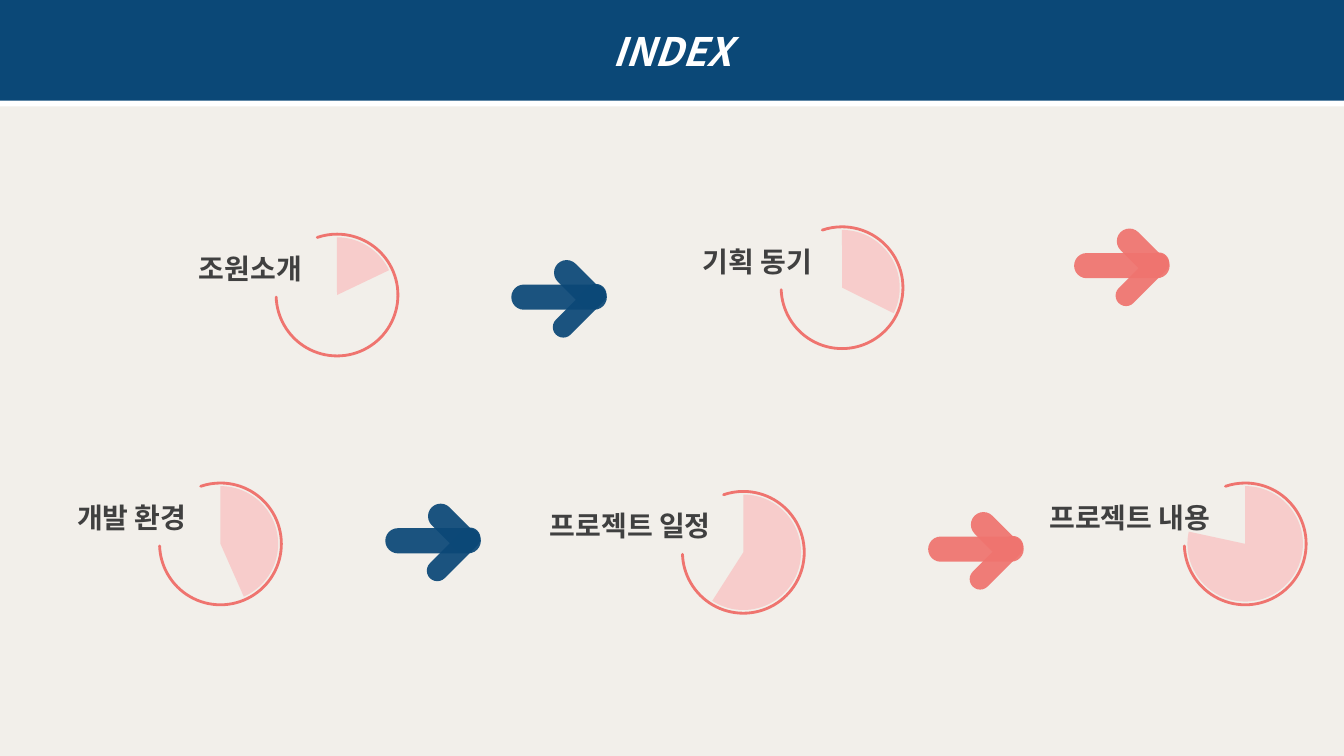
import lxml.etree
import pptx
import pptx.dml.color
import pptx.enum.shapes
import pptx.enum.text
import pptx.oxml.ns
import pptx.util

RGBColor = pptx.dml.color.RGBColor
Shape = pptx.enum.shapes.MSO_SHAPE

NAVY = RGBColor(0x0B, 0x48, 0x77)
CORAL = RGBColor(0xEF, 0x74, 0x6F)
PINK = RGBColor(0xFB, 0xB9, 0xB9)
CREAM = RGBColor(0xF2, 0xEF, 0xEA)
CHARCOAL = RGBColor(0x40, 0x40, 0x40)
WHITE = RGBColor(0xFF, 0xFF, 0xFF)

EMU_PER_PX = 9525
WIDTH, HEIGHT = 1280, 720
HEADER_HEIGHT = 96

ARROW_PILLS = [
    (0, 0, 91, 24, 0),
    (36, -12, 56, 24, 45),
    (33, 15, 64, 20, 135),
]
ARROWS = [
    (1023, 241, CORAL),
    (487, 271, NAVY),
    (367, 503, NAVY),
    (884, 511, CORAL),
]
TOPICS = [
    ("조원소개", 180, 128, 263, 223, 200.71),
    ("개발 환경", 64, 156, 152, 460, 39.68),
    ("기획 동기", 660, 152, 744, 216, 15.78),
    ("프로젝트 일정", 514, 198, 650, 468, 73.53),
    ("프로젝트 내용", 990, 192, 1128, 460, 115.34),
]


def px(*lengths):
    return [pptx.util.Emu(length * EMU_PER_PX) for length in lengths]


def add_xml(parent, tag, **attributes):
    element = lxml.etree.SubElement(parent, pptx.oxml.ns.qn(tag))
    for name, value in attributes.items():
        element.set(name, str(value))
    return element


class IndexSlide:
    font = "Noto Sans CJK KR"

    def __init__(self, deck):
        self.page = deck.slides.add_slide(deck.slide_layouts[6])
        self.page.background.fill.solid()
        self.page.background.fill.fore_color.rgb = CREAM

    def shape(self, shapes, kind, bounds, fill=None, opacity=100, adjustments=()):
        shape = shapes.add_shape(kind, *px(*bounds))
        shape.shadow.inherit = False
        shape.line.fill.background()
        for index, value in enumerate(adjustments):
            shape.adjustments[index] = value
        if fill is None:
            shape.fill.background()
        else:
            shape.fill.solid()
            shape.fill.fore_color.rgb = fill
            if opacity < 100:
                color = shape.element.spPr.find(".//" + pptx.oxml.ns.qn("a:srgbClr"))
                add_xml(color, "a:alpha", val=opacity * 1000)
        return shape

    def span(self, para, text, size, color, italic=None):
        span = para.add_run()
        span.text = text
        span.font.size = pptx.util.Pt(size)
        span.font.bold = True
        span.font.italic = italic
        span.font.color.rgb = color
        span.font.name = self.font
        add_xml(span.font._element, "a:ea", typeface=self.font)

    def header(self, text):
        bounds = (0, 0, WIDTH, HEADER_HEIGHT)
        band = self.shape(self.page.shapes, Shape.RECTANGLE, bounds, NAVY)
        effects = band.element.spPr.find(pptx.oxml.ns.qn("a:effectLst"))
        shadow = add_xml(effects, "a:outerShdw", dist=pptx.util.Pt(4),
                         dir=90 * 60000, algn="t", rotWithShape=0)
        add_xml(shadow, "a:srgbClr", val=WHITE)
        band.text_frame.vertical_anchor = pptx.enum.text.MSO_ANCHOR.MIDDLE
        para = band.text_frame.paragraphs[0]
        para.alignment = pptx.enum.text.PP_ALIGN.CENTER
        self.span(para, text, 28, WHITE, italic=True)

    def arrow(self, left, top, color):
        group = self.page.shapes.add_group_shape()
        for dx, dy, width, height, angle in ARROW_PILLS:
            bounds = (left + dx, top + dy, width, height)
            pill = self.shape(group.shapes, Shape.ROUNDED_RECTANGLE, bounds,
                              color, 93, [0.5])
            pill.rotation = angle

    def label(self, shapes, text, bounds):
        box = shapes.add_textbox(*px(*bounds))
        box.text_frame.word_wrap = True
        box.text_frame.auto_size = pptx.enum.text.MSO_AUTO_SIZE.SHAPE_TO_FIT_TEXT
        para = box.text_frame.paragraphs[0]
        para.line_spacing = 1.5
        self.span(para, text, 20, CHARCOAL)

    def topic(self, text, text_left, text_width, left, top, wedge_end):
        shapes = self.page.shapes.add_group_shape().shapes
        self.label(shapes, text, (text_left, top - 4, text_width, 59))
        ring = self.shape(shapes, Shape.ARC, (left, top, 116, 116),
                          adjustments=[150.62, 106.86])
        ring.line.color.rgb = CORAL
        ring.line.width = pptx.util.Pt(2)
        ring.line._get_or_add_ln().set("cap", "rnd")
        self.shape(shapes, Shape.ARC, (left + 3, top + 3, 110, 110),
                   PINK, 63, [162, wedge_end])


def main():
    deck = pptx.Presentation()
    deck.slide_width, deck.slide_height = px(WIDTH, HEIGHT)
    index = IndexSlide(deck)
    index.header("INDEX")
    for arrow in ARROWS:
        index.arrow(*arrow)
    for topic in TOPICS:
        index.topic(*topic)
    deck.save("out.pptx")


if __name__ == "__main__":
    main()
